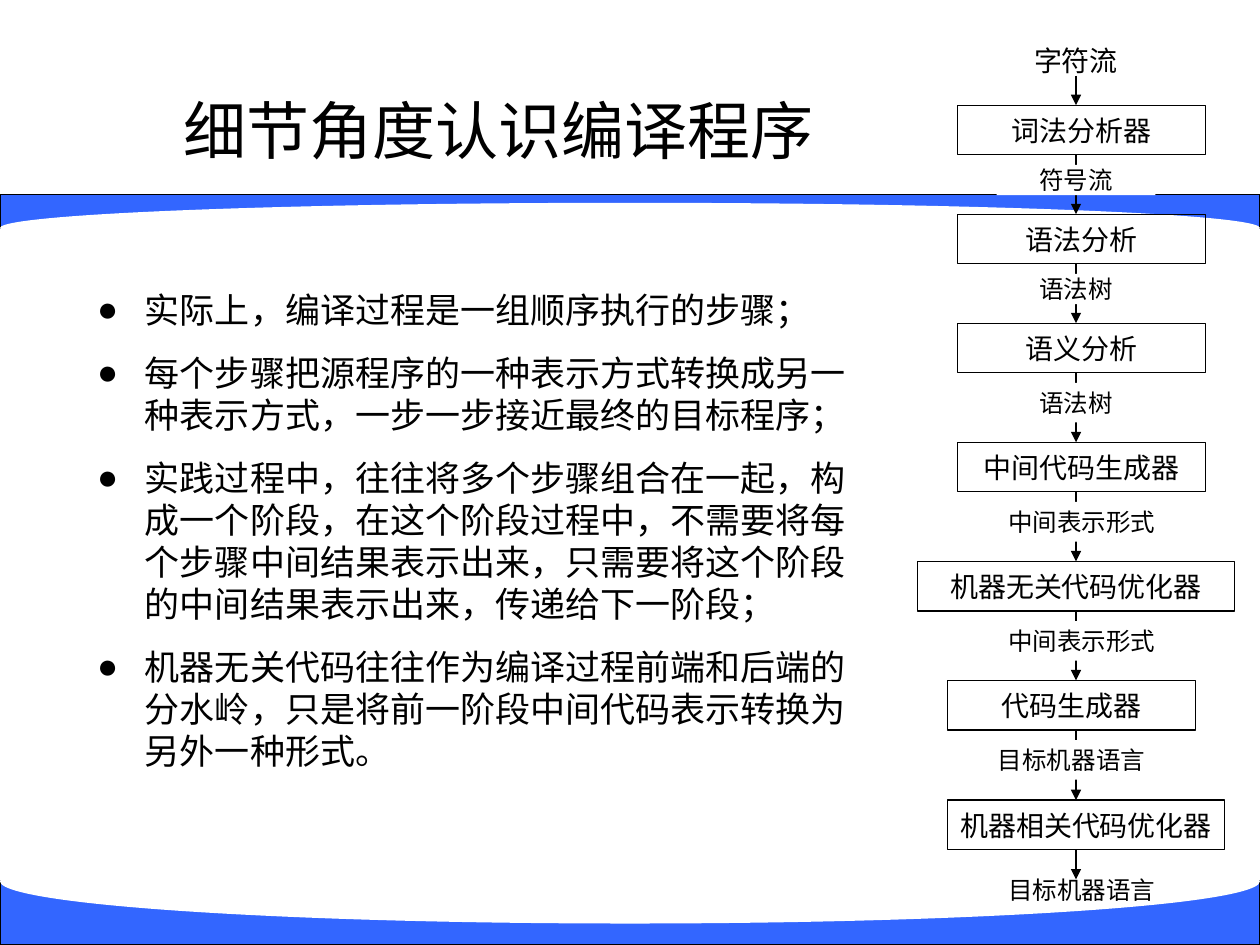
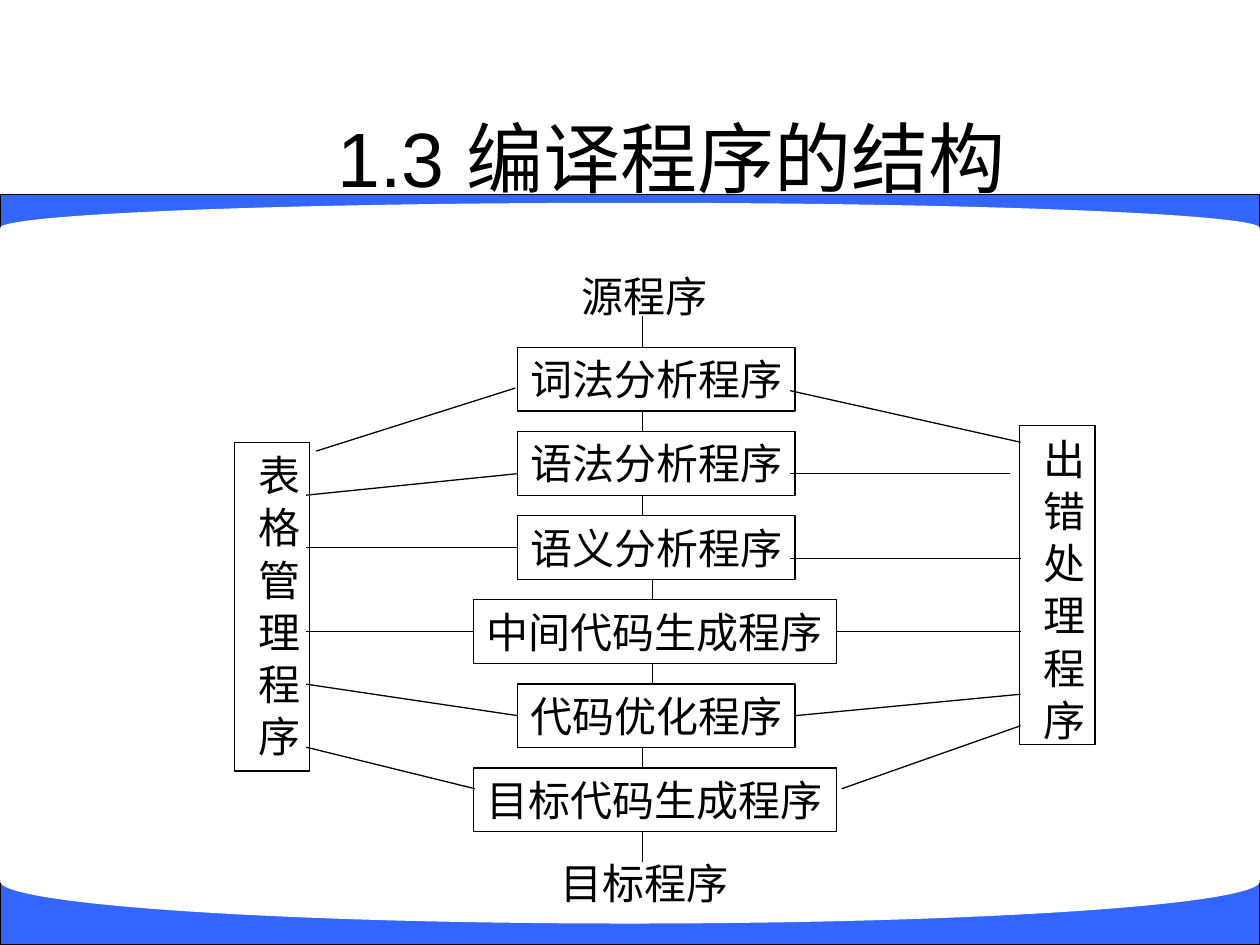
from dataclasses import dataclass, replace
from itertools import pairwise
from typing import NamedTuple, Optional

from lxml import etree
from pptx import Presentation, util as u
from pptx.dml.color import RGBColor
from pptx.enum import shapes, text
from pptx.oxml import ns

# The grid has 100 columns and 75 rows on a 10 by 7.5 inch slide.
WIDTH, HEIGHT = u.Inches(10), u.Inches(7.5)
COLUMN, ROW = WIDTH / 100, HEIGHT / 75
BLACK, WHITE, BLUE = "000000", "FFFFFF", "3366FF"
HAIRLINE = u.Pt(0.75)


class Area(NamedTuple):
    left: float
    top: float
    width: float
    height: float

    def lengths(self) -> tuple:
        return (u.Emu(round(self.left * COLUMN)), u.Emu(round(self.top * ROW)),
                u.Emu(round(self.width * COLUMN)), u.Emu(round(self.height * ROW)))

    @property
    def bottom(self) -> float:
        return self.top + self.height

    @property
    def middle(self) -> float:
        return self.top + self.height / 2


@dataclass(frozen=True)
class Look:
    font: str
    size: int
    align: text.PP_ALIGN = text.PP_ALIGN.CENTER
    anchor: text.MSO_ANCHOR = text.MSO_ANCHOR.MIDDLE
    fill: Optional[str] = None
    outlined: bool = False
    grows: bool = False
    vertical: bool = False


class Stage(NamedTuple):
    name: str
    left: float
    top: float
    width: float
    output: str
    output_left: float
    output_width: float
    output_height: float


class Step(NamedTuple):
    """A compiler part; each link is (x, y) at the side box, then at the part."""
    name: str
    left: float
    width: float
    table_link: tuple
    error_link: tuple


FLOW_BOX = Look("Cabin", 16, outlined=True)
FLOW_LABEL = Look("Cabin", 14, fill=WHITE)
PART_TEXT = Look("Times New Roman", 24, text.PP_ALIGN.LEFT, text.MSO_ANCHOR.TOP, grows=True)
PART_BOX = replace(PART_TEXT, outlined=True)
SIDE_BOX = replace(PART_BOX, vertical=True)

POINTS = [
    "实际上，编译过程是一组顺序执行的步骤；",
    "每个步骤把源程序的一种表示方式转换成另一种表示方式，一步一步接近最终的目标程序；",
    "实践过程中，往往将多个步骤组合在一起，构成一个阶段，在这个阶段过程中，"
    "不需要将每个步骤中间结果表示出来，只需要将这个阶段的中间结果表示出来，传递给下一阶段；",
    "机器无关代码往往作为编译过程前端和后端的分水岭，只是将前一阶段中间代码表示转换为另外一种形式。",
]

FLOW_X, FLOW_HEIGHT = 85.4, 3.94
STAGES = [
    Stage("词法分析器", 76, 8.35, 19.7, "符号流", 79.1, 12.6, 2.4),
    Stage("语法分析", 76, 17, 19.7, "语法树", 79.1, 12.6, 2.4),
    Stage("语义分析", 76, 25.65, 19.7, "语法树", 79.1, 12.6, 3.15),
    Stage("中间代码生成器", 76, 35.1, 19.7, "中间表示形式", 77.6, 16.5, 3.15),
    Stage("机器无关代码优化器", 72.8, 44.55, 25.2, "中间表示形式", 77.6, 16.5, 3.15),
    Stage("代码生成器", 75.2, 54, 19.7, "目标机器语言", 76.8, 16.5, 3.15),
    Stage("机器相关代码优化器", 75.2, 63.5, 22, "目标机器语言", 77.6, 16.5, 3.15),
]

PART_TOP, PART_PITCH, PART_HEIGHT = 27.6, 6.67, 5.04
STEPS = [
    Step("词法分析程序", 41.1, 22, (25.1, 35.8, 40.9, 30.8), (81, 35.1, 62.7, 31)),
    Step("语法分析程序", 41.1, 22, (24.3, 39.3, 41, 37.6), (80.2, 37.6, 62.7, 37.6)),
    Step("语义分析程序", 41.1, 22, (24.3, 43.46, 41, 43.46), (81, 44.3, 62.7, 44.3)),
    Step("中间代码生成程序", 37.6, 28.8, (24.3, 50.13, 37.7, 50.13), (81, 50.13, 66.1, 50.13)),
    Step("代码优化程序", 41.1, 22, (24.3, 54.3, 41, 56.8), (81, 55.1, 62.7, 56.8)),
    Step("目标代码生成程序", 37.6, 28.8, (24.3, 59.3, 37.7, 62.6), (81, 57.6, 66.8, 62.6)),
]
SPINE_XS = [51, 51, 51.8, 51.8, 51]


def colour(value: str) -> RGBColor:
    return RGBColor.from_string(value)


def paint(shape, fill: Optional[str], outlined: bool) -> None:
    if fill:
        shape.fill.solid()
        shape.fill.fore_color.rgb = colour(fill)
    else:
        shape.fill.background()
    if outlined:
        shape.line.color.rgb = colour(BLACK)
        shape.line.width = HAIRLINE
    else:
        shape.line.fill.background()


def format_text(para, font: str, size: int) -> None:
    para.font.name = font
    para.font.size = u.Pt(size)
    para.font.color.rgb = colour(BLACK)


def add_plain_shape(page, kind, area: Area, fill: Optional[str], outlined: bool):
    shape = page.shapes.add_shape(kind, *area.lengths())
    shape.shadow.inherit = False
    paint(shape, fill, outlined)
    return shape


def add_box(page, area: Area, words: str, look: Look):
    if look.fill or look.outlined:
        box = add_plain_shape(page, shapes.MSO_SHAPE.RECTANGLE, area, look.fill, look.outlined)
    else:
        box = page.shapes.add_textbox(*area.lengths())
    frame = box.text_frame
    frame.text = words
    frame.word_wrap = False
    frame.vertical_anchor = look.anchor
    if look.grows:
        frame.auto_size = text.MSO_AUTO_SIZE.SHAPE_TO_FIT_TEXT
    if look.vertical:
        frame.margin_left = frame.margin_right = u.Inches(0.05)
        frame.margin_top = frame.margin_bottom = u.Inches(0.1)
        box.element.txBody.bodyPr.set("vert", "eaVert")
    para = frame.paragraphs[0]
    para.alignment = look.align
    format_text(para, look.font, look.size)
    return box


def add_line(page, x1: float, y1: float, x2: float, y2: float, arrow: bool = False):
    start, end = Area(x1, y1, 0, 0).lengths(), Area(x2, y2, 0, 0).lengths()
    line = page.shapes.add_connector(shapes.MSO_CONNECTOR.STRAIGHT, *start[:2], *end[:2])
    line.line.color.rgb = colour(BLACK)
    line.line.width = HAIRLINE
    if arrow:
        etree.SubElement(line.line._get_or_add_ln(), ns.qn("a:tailEnd"), type="triangle")
    etree.SubElement(line.element.spPr, ns.qn("a:effectLst"))
    return line


def add_bands_to_master(deck, page) -> None:
    """Draw the bands on a page, then move them behind everything in the master."""
    rectangle, oval = shapes.MSO_SHAPE.RECTANGLE, shapes.MSO_SHAPE.OVAL
    bands = [
        (rectangle, Area(0, 15.45, 100, 2.7), BLUE),
        (oval, Area(0, 16.1, 100, 4), WHITE),
        (rectangle, Area(0, 69.9, 100, 5.1), BLUE),
        (oval, Area(0, 66.6, 100, 6.7), WHITE),
    ]
    tree = deck.slide_master.shapes.element
    for position, (kind, area, fill) in enumerate(bands, start=2):
        band = add_plain_shape(page, kind, area, fill, outlined=kind == rectangle)
        tree.insert(position, band.element)


def place(shape, area: Area) -> None:
    shape.left, shape.top, shape.width, shape.height = area.lengths()


def set_title(page, area: Area, words: str, size: int) -> None:
    title = page.shapes.title
    place(title, area)
    title.text_frame.text = words
    title.text_frame.auto_size = text.MSO_AUTO_SIZE.NONE
    title.text_frame.vertical_anchor = text.MSO_ANCHOR.MIDDLE
    para = title.text_frame.paragraphs[0]
    para.alignment = text.PP_ALIGN.CENTER
    format_text(para, "Arial", size)


def set_bullets(body, area: Area, points: list[str]) -> None:
    place(body, area)
    frame = body.text_frame
    frame.text = "\n".join(points)
    frame.auto_size = text.MSO_AUTO_SIZE.NONE
    indent = u.Inches(0.38)
    for number, para in enumerate(frame.paragraphs):
        para.space_before = u.Pt(6 if number else 0)
        para.space_after = u.Pt(6)
        properties = para._p.get_or_add_pPr()
        properties.set("marL", str(indent))
        properties.set("indent", str(-indent))
        bullet_colour = etree.SubElement(properties, ns.qn("a:buClr"))
        etree.SubElement(bullet_colour, ns.qn("a:srgbClr"), val=BLACK)
        etree.SubElement(properties, ns.qn("a:buChar"), char="●")
        format_text(para, "Arial", 20)


def draw_flow(page) -> None:
    add_box(page, Area(79.1, 2.8, 12.6, 3.94), "字符流", replace(FLOW_BOX, outlined=False))
    add_line(page, FLOW_X, 6, FLOW_X, STAGES[0].top, arrow=True)
    next_tops = [stage.top for stage in STAGES[1:]] + [69.8]
    for stage, next_top in zip(STAGES, next_tops):
        area = Area(stage.left, stage.top, stage.width, FLOW_HEIGHT)
        add_box(page, area, stage.name, FLOW_BOX)
        add_line(page, FLOW_X, area.bottom, FLOW_X, next_top, arrow=True)
        last = stage is STAGES[-1]
        label_top = 69 if last else area.bottom + 0.8
        label = Area(stage.output_left, label_top, stage.output_width, stage.output_height)
        add_box(page, label, stage.output, replace(FLOW_LABEL, fill=None) if last else FLOW_LABEL)


def draw_structure(page) -> None:
    add_box(page, Area(45.2, 21, 12, PART_HEIGHT), "源程序", PART_TEXT)
    add_box(page, Area(43.5, 67.6, 15.4, PART_HEIGHT), "目标程序", PART_TEXT)
    add_box(page, Area(80.9, 33.8, 6, 25.3), "出 错 处 理 程 序", SIDE_BOX)
    add_box(page, Area(18.6, 35.1, 6, 26.1), "表 格 管 理 程 序", SIDE_BOX)
    areas = []
    for number, step in enumerate(STEPS):
        area = Area(step.left, PART_TOP + number * PART_PITCH, step.width, PART_HEIGHT)
        areas.append(area)
        box = add_box(page, area, step.name, PART_BOX)
        for link, side in ((step.table_link, 1), (step.error_link, 3)):
            line = add_line(page, *link)
            edge = area.left if side == 1 else area.left + area.width
            if abs(link[3] - area.middle) < 0.2 and abs(link[2] - edge) < 0.5:
                line.end_connect(box, side)
    add_line(page, 51, 25.1, 51, PART_TOP)
    for x, (upper, lower) in zip(SPINE_XS, pairwise(areas)):
        add_line(page, x, upper.bottom, x, lower.top)
    add_line(page, 51, areas[-1].bottom, 51, 68.4)


def main() -> None:
    deck = Presentation()
    deck.slide_width, deck.slide_height = WIDTH, HEIGHT

    steps_page = deck.slides.add_slide(deck.slide_layouts[1])
    add_bands_to_master(deck, steps_page)
    set_title(steps_page, Area(12.6, 2.3, 54, 16), "细节角度认识编译程序", 36)
    set_bullets(steps_page.placeholders[1], Area(6.7, 22.4, 62.2, 40.6), POINTS)
    draw_flow(steps_page)

    structure_page = deck.slides.add_slide(deck.slide_layouts[5])
    set_title(structure_page, Area(10.8, 8.3, 85, 8.3), "1.3 编译程序的结构", 44)
    draw_structure(structure_page)

    deck.save("out.pptx")


if __name__ == "__main__":
    main()
